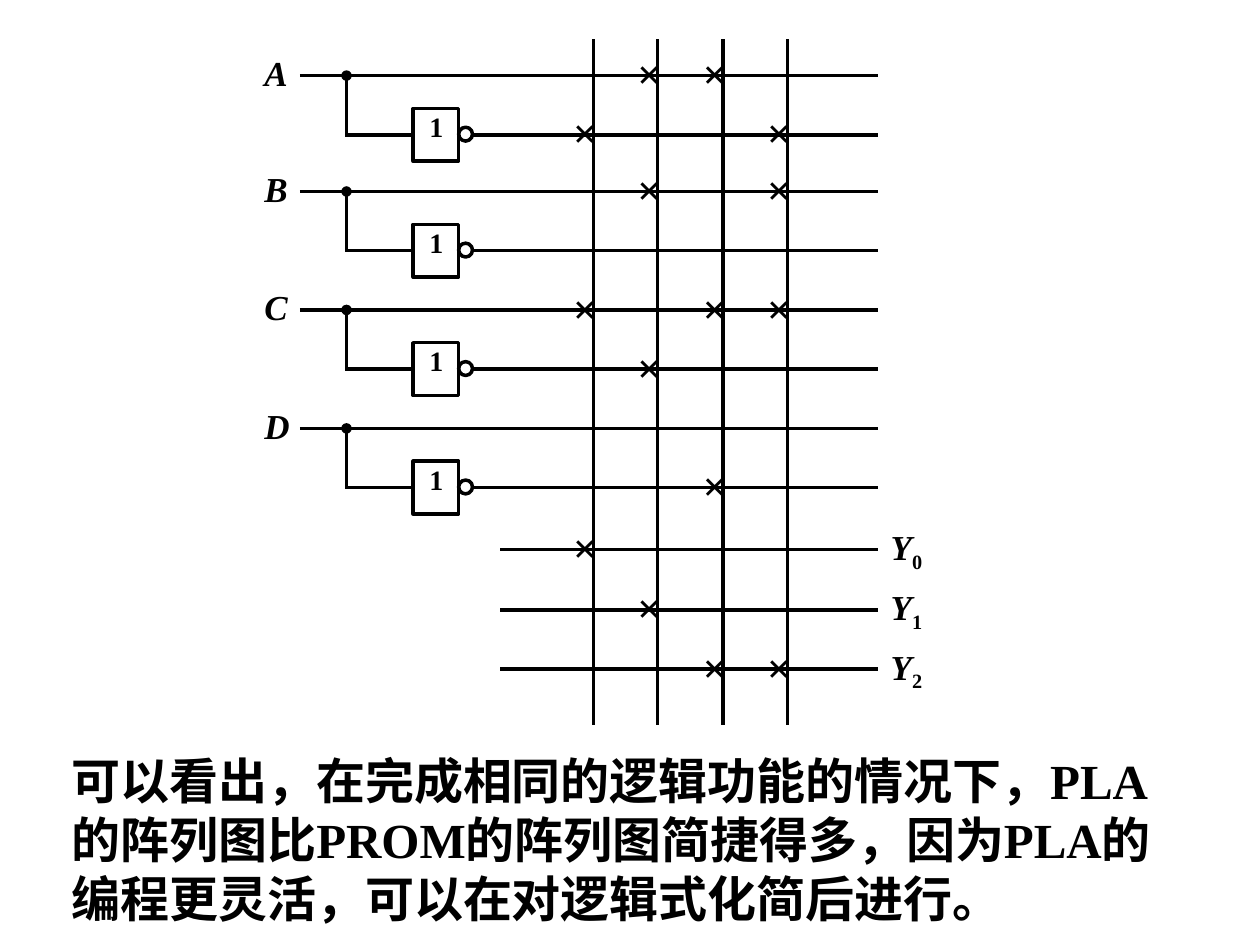
from lxml import etree
from pptx import Presentation
from pptx.dml.color import RGBColor
from pptx.enum.shapes import MSO_CONNECTOR, MSO_SHAPE
from pptx.oxml.ns import qn
from pptx.util import Inches, Pt

STRAIGHT = MSO_CONNECTOR.STRAIGHT
RECTANGLE = MSO_SHAPE.RECTANGLE
OVAL = MSO_SHAPE.OVAL
BLACK = RGBColor.from_string("000000")

presentation = Presentation()
presentation.slide_width = Inches(10)
presentation.slide_height = Inches(7.5)
slide = presentation.slides.add_slide(presentation.slide_layouts[6])


def add_wire(x1, y1, x2, y2, dot=False):
    wire = slide.shapes.add_connector(
        STRAIGHT, Inches(x1), Inches(y1), Inches(x2), Inches(y2))
    wire.line.color.rgb = BLACK
    wire.line.width = Pt(2)
    properties = wire._element.spPr
    if dot:
        etree.SubElement(properties.find(qn("a:ln")), qn("a:headEnd"), type="oval")
    etree.SubElement(properties, qn("a:effectLst"))


def add_text(left, top, width, height, text, size, italic=False, subscript=""):
    box = slide.shapes.add_textbox(
        Inches(left), Inches(top), Inches(width), Inches(height))
    box.text_frame.word_wrap = True
    paragraph = box.text_frame.paragraphs[0]
    for part, slanted in ((text, italic), (subscript, False)):
        if part:
            run = paragraph.add_run()
            run.text = part
            formats = {"name": "Times New Roman", "size": Pt(size),
                       "bold": True, "italic": slanted}
            for attribute, value in formats.items():
                setattr(run.font, attribute, value)
            run.font.color.rgb = BLACK
            if part == subscript:
                run.font._element.set("baseline", "-25000")


right_end = 6.97
inputs = {"A": 0.6, "B": 1.52, "C": 2.46, "D": 3.4}
outputs = {"0": 4.36, "1": 4.84, "2": 5.31}
inverter_drop = 0.47
product_columns = [4.71, 5.22, 5.74, 6.25]
crossings = {
    "A": [1, 2], "A'": [0, 3], "B": [1, 3], "C": [0, 2, 3], "C'": [1],
    "D'": [2], "0": [0], "1": [1], "2": [2, 3],
}

for x in product_columns:
    add_wire(x, 0.31, x, 5.75)

row_heights = dict(outputs)
for name, y in inputs.items():
    inverted_y = y + inverter_drop
    row_heights[name] = y
    row_heights[name + "'"] = inverted_y
    add_wire(2.38, y, right_end, y)
    add_wire(2.75, y, 2.75, inverted_y, dot=True)
    add_wire(2.74, inverted_y, 3.28, inverted_y)
    add_wire(3.74, inverted_y, right_end, inverted_y)
    for kind, left, top, width, height in (
            (RECTANGLE, 3.28, inverted_y - 0.21, 0.36, 0.42),
            (OVAL, 3.64, inverted_y - 0.06, 0.11, 0.11)):
        shape = slide.shapes.add_shape(
            kind, Inches(left), Inches(top), Inches(width), Inches(height))
        shape.shadow.inherit = False
        shape.fill.background()
        shape.line.color.rgb = BLACK
        shape.line.width = Pt(2)
    add_text(2, y - 0.24, 0.42, 0.44, name, 20, italic=True)
    add_text(3.31, inverted_y - 0.25, 0.42, 0.37, "1", 16)

for index, y in outputs.items():
    add_wire(3.97, y, right_end, y)
    add_text(right_end, y - 0.24, 0.6, 0.48, "Y", 20, italic=True, subscript=index)

for row, columns in crossings.items():
    for column in columns:
        add_text(product_columns[column] - 0.26, row_heights[row] - 0.27,
                 0.46, 0.5, "×", 24)

add_text(0.47, 5.91, 8.95, 1.5,
         "可以看出，在完成相同的逻辑功能的情况下，PLA的阵列图比PROM的阵列图简捷得多，"
         "因为PLA的编程更灵活，可以在对逻辑式化简后进行。", 28)

presentation.save("out.pptx")
